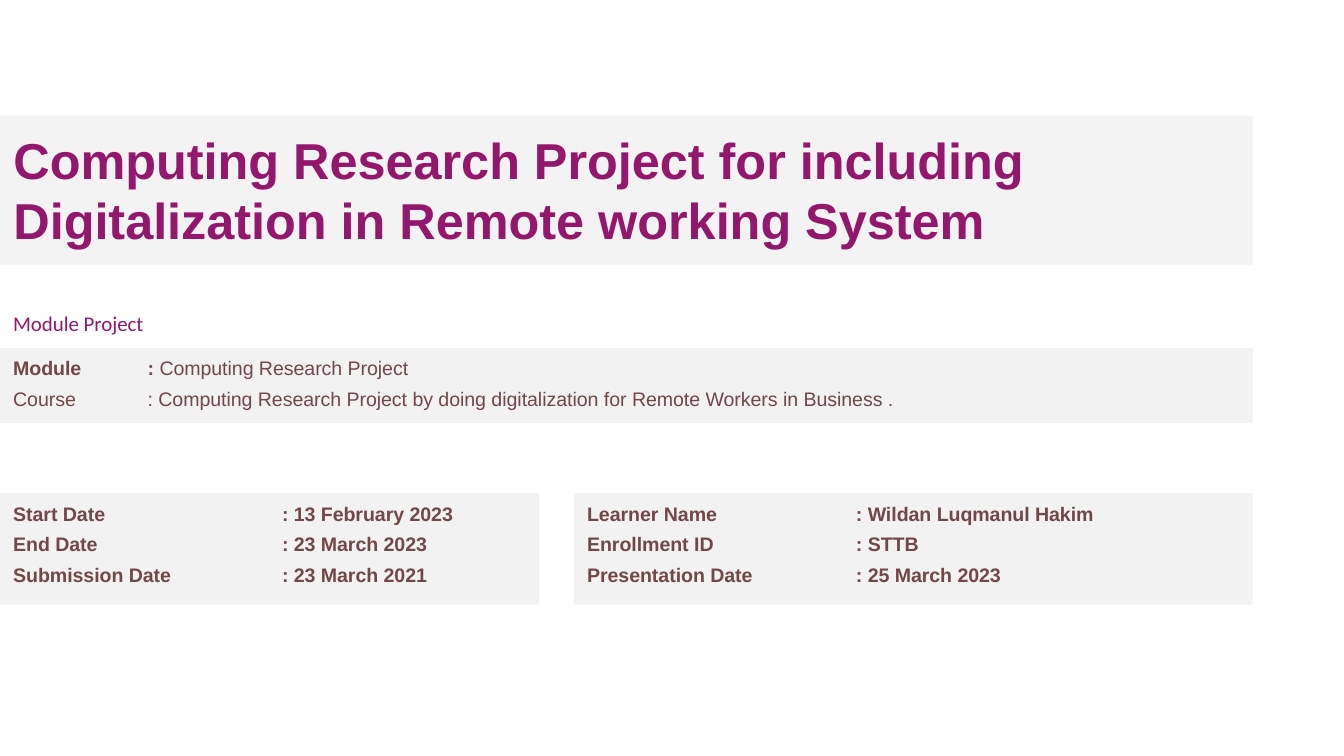
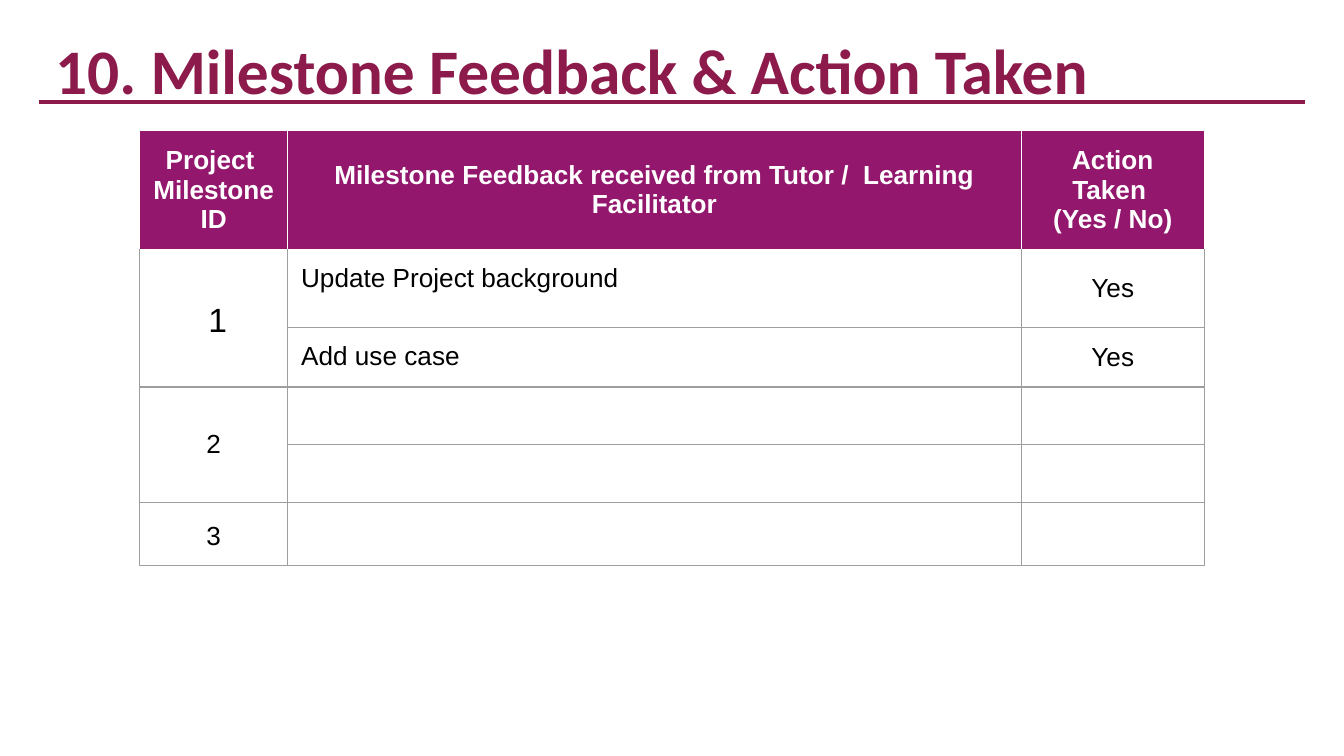
import pptx
import pptx.dml.color
import pptx.enum.shapes
import pptx.enum.text
import pptx.oxml
import pptx.oxml.ns
import pptx.util
from lxml import etree

Inches, Pt = pptx.util.Inches, pptx.util.Pt
ALIGN, ANCHOR = pptx.enum.text.PP_ALIGN, pptx.enum.text.MSO_ANCHOR
qn = pptx.oxml.ns.qn

PURPLE, MAROON, BROWN = "93176C", "8C1A4B", "724747"
TITLE_BAND, PANEL, GRID = "F3F3F3", "F2F2F2", "9E9E9E"
WHITE, BLACK = "FFFFFF", "000000"
TITLE_ONLY = 5


def rgb(value):
    return pptx.dml.color.RGBColor.from_string(value)


def child(parent, tag, **attributes):
    return etree.SubElement(parent, qn(tag), {k: str(v) for k, v in attributes.items()})


class Deck:
    def __init__(self):
        self.prs = pptx.Presentation()
        self.prs.slide_width = Inches(10)
        self.prs.slide_height = Inches(10 * 9 / 16)
        self.slide = None

    def new_slide(self):
        self.slide = self.prs.slides.add_slide(self.prs.slide_layouts[TITLE_ONLY])

    def style(self, paragraph, size, color, bold=False, font="Arial"):
        for run in paragraph.runs:
            run.font.size, run.font.name, run.font.bold = Pt(size), font, bold
            run.font.color.rgb = rgb(color)

    def inset(self, holder, margin):
        """Give a text frame or a table cell the same margin on all sides."""
        holder.margin_left = holder.margin_right = Inches(margin)
        holder.margin_top = holder.margin_bottom = Inches(margin)

    def title(self, box, text, size, color, font="Arial", fill=None, number=None):
        title = self.slide.shapes.title
        title.left, title.top, title.width, title.height = map(Inches, box)
        if fill:
            title.fill.solid()
            title.fill.fore_color.rgb = rgb(fill)
        frame = title.text_frame
        frame.text = text
        frame.word_wrap = True
        frame.auto_size = pptx.enum.text.MSO_AUTO_SIZE.NONE
        frame.vertical_anchor = ANCHOR.TOP
        self.inset(frame, 0.1)
        paragraph = frame.paragraphs[0]
        paragraph.alignment = ALIGN.LEFT
        if number:
            paragraph.line_spacing = 1.15
            props = paragraph._p.get_or_add_pPr()
            props.set("marL", str(Inches(0.58)))
            props.set("indent", str(Inches(-0.56)))
            child(child(props, "a:buClr"), "a:srgbClr", val=color)
            child(props, "a:buAutoNum", type="arabicPeriod", startAt=number)
        self.style(paragraph, size, color, True, font)

    def label(self, box, text, size, color, font):
        frame = self.slide.shapes.add_textbox(*map(Inches, box)).text_frame
        frame.text = text
        frame.word_wrap = True
        frame.vertical_anchor = ANCHOR.MIDDLE
        self.style(frame.paragraphs[0], size, color, font=font)

    def panel(self, box, value_tab, rows):
        """Draw a grey panel; each row is a list of (text, bold) parts."""
        panel = self.slide.shapes.add_shape(
            pptx.enum.shapes.MSO_SHAPE.RECTANGLE, *map(Inches, box))
        panel.shadow.inherit = False
        panel.fill.solid()
        panel.fill.fore_color.rgb = rgb(PANEL)
        panel.line.fill.background()
        frame = panel.text_frame
        frame.word_wrap = True
        frame.vertical_anchor = ANCHOR.TOP
        for index, parts in enumerate(rows):
            paragraph = frame.add_paragraph() if index else frame.paragraphs[0]
            paragraph.alignment = ALIGN.LEFT
            paragraph.line_spacing = Pt(13.5)
            paragraph.space_before = Pt(1.5 if index else 0)
            paragraph.space_after = Pt(1.5)
            tabs = child(paragraph._p.get_or_add_pPr(), "a:tabLst")
            child(tabs, "a:tab", pos=Inches(value_tab), algn="l")
            for text, _ in parts:
                paragraph.add_run().text = text
            self.style(paragraph, 10.5, BROWN)
            for run, (_, bold) in zip(paragraph.runs, parts):
                run.font.bold = bold

    def rule(self, left, right, y, color, weight):
        line = self.slide.shapes.add_connector(
            pptx.enum.shapes.MSO_CONNECTOR.STRAIGHT,
            Inches(left), Inches(y), Inches(right), Inches(y))
        line.line.color.rgb = rgb(color)
        line.line.width = Pt(weight)
        child(line._element.spPr, "a:effectLst")

    def borders(self, cell, color, top):
        props = cell._tc.get_or_add_tcPr()
        for index, side in enumerate("LRTB"):
            line = pptx.oxml.parse_xml(
                f'<a:ln{side} {pptx.oxml.ns.nsdecls("a")} w="{Pt(0.75)}"><a:solidFill>'
                f'<a:srgbClr val="{top if side == "T" else color}"/>'
                f'</a:solidFill></a:ln{side}>')
            props.insert(index, line)

    def table(self, left, top, widths, heights, rows, merges):
        """Draw a table with a purple header; merges are (first row, last row) in column 0."""
        table = self.slide.shapes.add_table(
            len(rows), len(widths), Inches(left), Inches(top),
            Inches(sum(widths)), Inches(sum(heights))).table
        table.first_row = table.horz_banding = False
        for column, width in zip(table.columns, widths):
            column.width = Inches(width)
        for row, height in zip(table.rows, heights):
            row.height = Inches(height)
        for r, texts in enumerate(rows):
            header = r == 0
            for c, text in enumerate(texts):
                cell = table.cell(r, c)
                if header:
                    cell.fill.solid()
                    cell.fill.fore_color.rgb = rgb(PURPLE)
                else:
                    cell.fill.background()
                self.borders(cell, WHITE if header else GRID, WHITE if r < 2 else GRID)
                if not text:
                    continue
                cell.text = text
                self.inset(cell, 0.1)
                centred = header or c != 1
                cell.vertical_anchor = ANCHOR.MIDDLE if centred else ANCHOR.TOP
                paragraph = cell.text_frame.paragraphs[0]
                paragraph.alignment = ALIGN.CENTER if centred else ALIGN.LEFT
                self.style(paragraph, 14, WHITE if header else BLACK, header)
        for first, last in merges:
            table.cell(first, 0).merge(table.cell(last, 0))
        return table


def cover(deck):
    deck.new_slide()
    deck.title((0, 0.86, 9.32, 1.11),
               "Computing Research Project for including \vDigitalization in Remote working System",
               27, PURPLE, fill=TITLE_BAND)
    deck.panel((0, 2.59, 9.32, 0.56), 1, [
        [("Module\t: ", True), ("Computing Research Project", False)],
        [("Course \t: Computing Research Project by doing digitalization "
          "for Remote Workers in Business .", False)],
    ])
    deck.label((0, 2.17, 4.81, 0.47), "Module Project", 11.2, PURPLE, "Calibri")
    dates = ["Start Date\t: 13 February 2023", "End Date\t: 23 March 2023",
             "Submission Date \t: 23 March 2021"]
    learner = ["Learner Name\t: Wildan Luqmanul Hakim", "Enrollment ID\t: STTB",
               "Presentation Date\t: 25 March 2023"]
    for left, width, facts in ((0, 4.01, dates), (4.27, 5.05, learner)):
        deck.panel((left, 3.67, width, 0.83), 2, [[(fact, True)] for fact in facts])


def milestone_feedback(deck):
    deck.new_slide()
    deck.rule(0.29, 9.71, 0.76, MAROON, 2.25)
    deck.title((0.29, 0.05, 8.99, 0.86), " Milestone Feedback & Action Taken",
               34, MAROON, font="Calibri", number=10)
    feedback = deck.table(
        1.04, 0.97, [1.1, 5.46, 1.36], [0.89, 0.58, 0.44, 0.43, 0.43, 0.47],
        [["Project \vMilestone ID",
          "Milestone Feedback received from Tutor /  Learning Facilitator",
          "Action Taken \v(Yes / No)"],
         ["1", "Update Project background", "Yes"],
         ["", "Add use case", "Yes"],
         ["2", "", ""],
         ["", "", ""],
         ["3", "", ""]],
        merges=[(1, 2), (3, 4)])
    first_id = feedback.cell(1, 0)
    first_id.margin_left = Inches(0.16)
    first_id.text_frame.paragraphs[0].runs[0].font.size = Pt(18)
    for row in (1, 5):
        feedback.cell(row, 0).text_frame.paragraphs[0].line_spacing = 1.15


def main():
    deck = Deck()
    cover(deck)
    milestone_feedback(deck)
    deck.prs.save("out.pptx")


if __name__ == "__main__":
    main()
